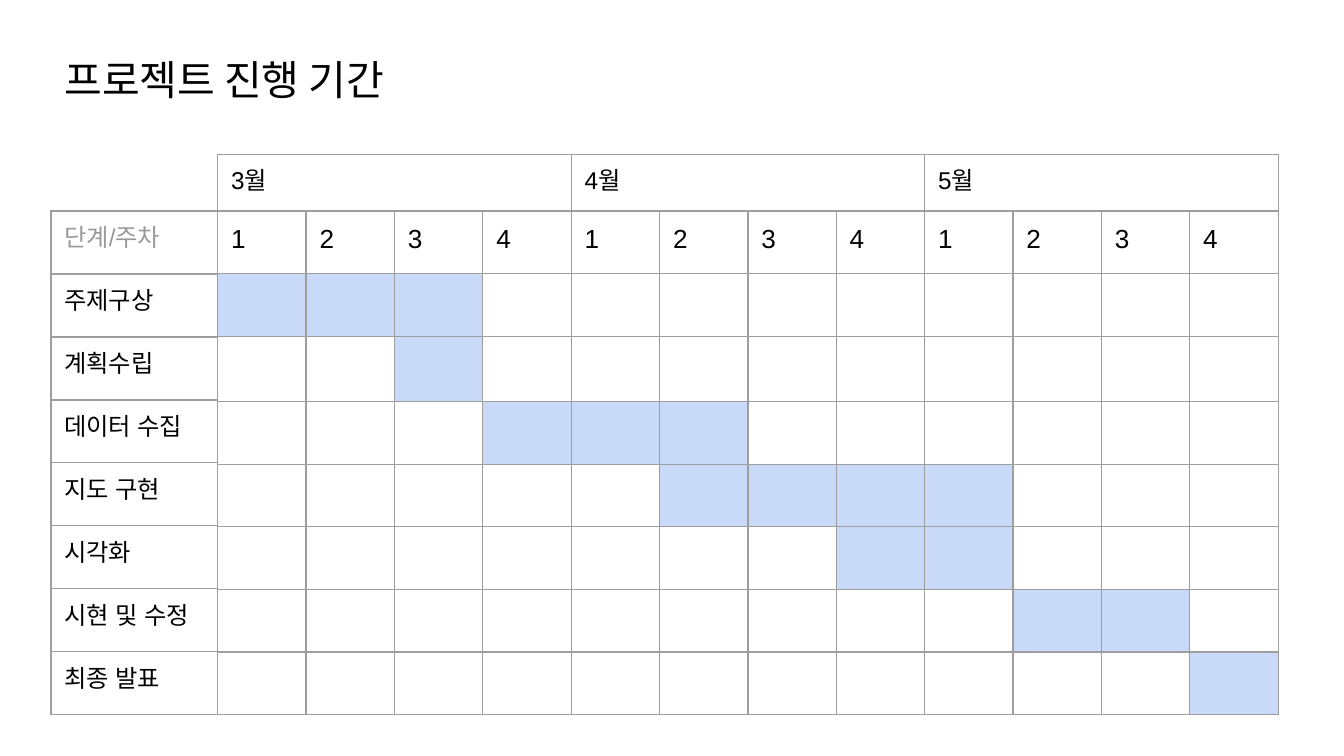
import lxml.etree
import pptx
import pptx.dml.color
import pptx.enum.text
import pptx.oxml
import pptx.oxml.ns
import pptx.util
from pptx.util import Inches

BLACK = pptx.dml.color.RGBColor(0x00, 0x00, 0x00)
GRAY = pptx.dml.color.RGBColor(0x99, 0x99, 0x99)
BORDER = pptx.dml.color.RGBColor(0x9E, 0x9E, 0x9E)
BAR = pptx.dml.color.RGBColor(0xC9, 0xDA, 0xF8)

MONTHS = ["3월", "4월", "5월"]
WEEKS_PER_MONTH = 4
STAGES = [
    ("주제구상", 0, 2),
    ("계획수립", 2, 2),
    ("데이터 수집", 3, 5),
    ("지도 구현", 5, 8),
    ("시각화", 7, 8),
    ("시현 및 수정", 9, 10),
    ("최종 발표", 11, 11),
]


def set_borders(cell, color):
    """Draw thin solid lines on all four sides of a cell."""
    properties = cell._tc.get_or_add_tcPr()
    for side in ("lnL", "lnR", "lnT", "lnB"):
        properties.append(pptx.oxml.parse_xml(
            f'<a:{side} {pptx.oxml.ns.nsdecls("a")} w="{pptx.util.Pt(0.75)}">'
            f'<a:solidFill><a:srgbClr val="{color}"/></a:solidFill></a:{side}>'
        ))


def format_run(run, name, size, color):
    """Set the Latin and East Asian typeface, size and colour of a run."""
    run.font.name = name
    run.font.size = pptx.util.Pt(size)
    run.font.color.rgb = color
    east_asian = lxml.etree.SubElement(
        run._r.get_or_add_rPr(), pptx.oxml.ns.qn("a:ea"))
    east_asian.set("typeface", name)


def set_cell_text(cell, text, size, color):
    """Write text into a cell with even margins."""
    cell.margin_left = cell.margin_right = Inches(0.1)
    cell.margin_top = cell.margin_bottom = Inches(0.1)
    cell.text_frame.text = text
    format_run(cell.text_frame.paragraphs[0].runs[0], "Arial", size, color)


def add_grid(slide, box, row_weights, column_count):
    """Add a plain bordered table that fills the box and return it."""
    left, top, width, height = box
    table = slide.shapes.add_table(
        len(row_weights), column_count,
        Inches(left), Inches(top), Inches(width), Inches(height),
    ).table
    table.first_row = table.horz_banding = False
    for row, weight in zip(table.rows, row_weights):
        row.height = Inches(height * weight / sum(row_weights))
    for column in table.columns:
        column.width = Inches(width / column_count)
    for cell in table.iter_cells():
        set_borders(cell, BORDER)
        cell.fill.background()
    return table


def add_title(slide, box, text):
    """Place the slide title in the box."""
    title = slide.shapes.title
    title.left, title.top, title.width, title.height = map(Inches, box)
    frame = title.text_frame
    frame.text = text
    frame.word_wrap = True
    frame.auto_size = pptx.enum.text.MSO_AUTO_SIZE.NONE
    frame.vertical_anchor = pptx.enum.text.MSO_ANCHOR.MIDDLE
    frame.margin_left = frame.margin_right = Inches(0.1)
    frame.margin_top = frame.margin_bottom = Inches(0.1)
    paragraph = frame.paragraphs[0]
    paragraph.alignment = pptx.enum.text.PP_ALIGN.LEFT
    format_run(paragraph.runs[0], "Calibri", 22, BLACK)


def add_months(slide, box):
    """Add the row of month names."""
    table = add_grid(slide, box, [1], len(MONTHS))
    for cell, month in zip(table.iter_cells(), MONTHS):
        set_cell_text(cell, month, 13, BLACK)


def add_weeks(slide, box):
    """Add the week grid and shade the weeks of each stage."""
    week_count = len(MONTHS) * WEEKS_PER_MONTH
    row_weights = [1, 1, 1.04, 1, 1, 1, 1, 1]
    table = add_grid(slide, box, row_weights, week_count)
    for week in range(week_count):
        label = str(week % WEEKS_PER_MONTH + 1)
        set_cell_text(table.cell(0, week), label, 14, BLACK)
    for row, (_, first, last) in enumerate(STAGES, start=1):
        for week in range(first, last + 1):
            fill = table.cell(row, week).fill
            fill.solid()
            fill.fore_color.rgb = BAR


def add_stages(slide, box):
    """Add the column of stage names under its header."""
    table = add_grid(slide, box, [1] * (len(STAGES) + 1), 1)
    set_cell_text(table.cell(0, 0), "단계/주차", 13, GRAY)
    for row, (name, _, _) in enumerate(STAGES, start=1):
        set_cell_text(table.cell(row, 0), name, 13, BLACK)


def add_schedule(slide, box):
    """Place months, weeks and stages inside the box."""
    left, top, width, height = box
    stage_width, month_height = 1.24, 0.42
    grid_left, grid_top = left + stage_width, top + month_height
    grid_width, grid_height = width - stage_width, height - month_height
    add_months(slide, (grid_left, top, grid_width, month_height))
    add_weeks(slide, (grid_left, grid_top, grid_width, grid_height))
    add_stages(slide, (left, grid_top, stage_width, grid_height))


def main():
    """Build and save the presentation."""
    presentation = pptx.Presentation()
    presentation.slide_width = Inches(10)
    presentation.slide_height = presentation.slide_width * 9 // 16
    slide = presentation.slides.add_slide(presentation.slide_layouts[5])
    add_title(slide, (0.38, 0.3, 5.92, 0.57), "프로젝트 진행 기간")
    add_schedule(slide, (0.38, 1.15, 9.13, 4.17))
    presentation.save("out.pptx")


if __name__ == "__main__":
    main()
